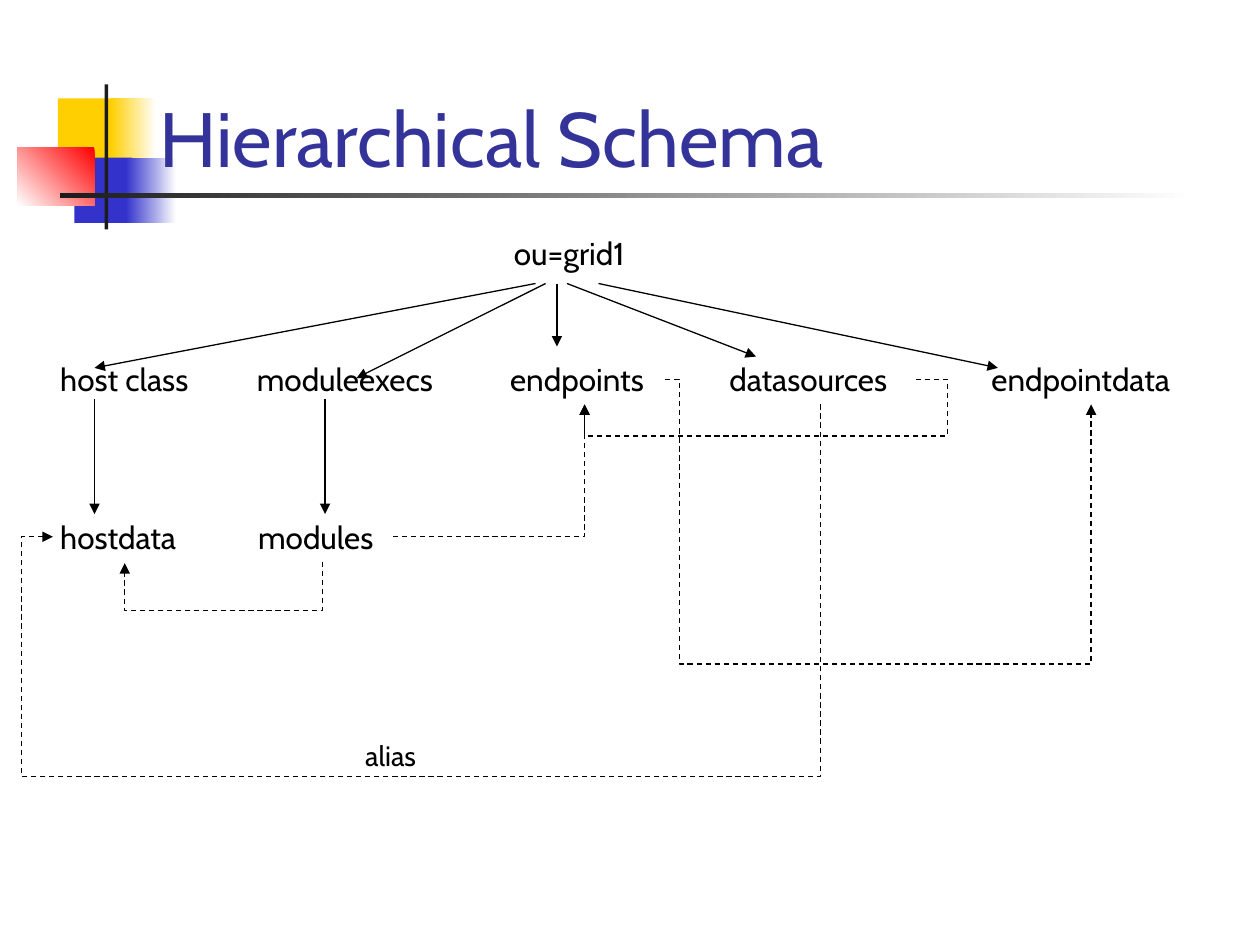
from lxml import etree
from pptx import Presentation
from pptx.dml.color import RGBColor
from pptx.enum.dml import MSO_LINE
from pptx.enum.shapes import MSO_CONNECTOR, MSO_SHAPE
from pptx.enum.text import MSO_ANCHOR, MSO_AUTO_SIZE
from pptx.oxml.ns import qn
from pptx.util import Inches, Pt

BLACK, CHARCOAL, WHITE = "000000", "1C1C1C", "FFFFFF"
YELLOW, BLUE, RED, NAVY = "FFCF01", "3333CC", "FF0000", "333399"


def color(hex_code):
    return RGBColor.from_string(hex_code)


class SlideBuilder:
    font_name = "Cabin"
    line_width = Pt(0.75)

    def __init__(self, slide):
        self.slide = slide

    def block(self, left, top, width, height, start, end=None, angle=180):
        """Add a rectangle; a second colour makes a gradient at a counter-clockwise angle."""
        shape = self.slide.shapes.add_shape(
            MSO_SHAPE.RECTANGLE, Inches(left), Inches(top), Inches(width), Inches(height))
        shape.shadow.inherit = False
        shape.line.fill.background()
        if end is None:
            shape.fill.solid()
            shape.fill.fore_color.rgb = color(start)
            return
        shape.fill.gradient()
        shape.fill.gradient_angle = angle
        for stop, hex_code in zip(shape.fill.gradient_stops, (start, end)):
            stop.color.rgb = color(hex_code)

    def text(self, text, left, top, width, height=0.4, size=18, hex_code=BLACK,
             anchor=MSO_ANCHOR.TOP, wrap=False):
        box = self.slide.shapes.add_textbox(
            Inches(left), Inches(top), Inches(width), Inches(height))
        frame = box.text_frame
        frame.word_wrap = wrap
        frame.auto_size = MSO_AUTO_SIZE.NONE if wrap else MSO_AUTO_SIZE.SHAPE_TO_FIT_TEXT
        frame.vertical_anchor = anchor
        paragraph = frame.paragraphs[0]
        paragraph.text = text
        paragraph.font.name = self.font_name
        paragraph.font.size = Pt(size)
        paragraph.font.color.rgb = color(hex_code)

    def arrow(self, start, end, kind=MSO_CONNECTOR.STRAIGHT):
        connector = self.slide.shapes.add_connector(
            kind, *(Inches(value) for value in (*start, *end)))
        connector.line.color.rgb = color(BLACK)
        connector.line.width = self.line_width
        line = connector.line._get_or_add_ln()
        etree.SubElement(line, qn("a:tailEnd"), type="triangle")
        etree.SubElement(connector._element.spPr, qn("a:effectLst"))
        return connector

    def elbow(self, *points):
        """Add a dashed bent arrow that runs through the given points."""
        (x0, y0), (x1, y1) = points[0], points[-1]
        starts_down = points[1][0] == x0
        if starts_down:
            # A quarter turn about the centre makes the first segment vertical.
            center_x, center_y = (x0 + x1) / 2, (y0 + y1) / 2
            half_x, half_y = (y1 - y0) / 2, (x0 - x1) / 2
            start = (center_x - half_x, center_y - half_y)
            end = (center_x + half_x, center_y + half_y)
        else:
            start, end = points[0], points[-1]
        connector = self.arrow(start, end, MSO_CONNECTOR.ELBOW)
        connector.line.dash_style = MSO_LINE.DASH
        properties = connector._element.spPr
        if starts_down:
            properties.find(qn("a:xfrm")).set("rot", str(90 * 60000))

        across = (points[1][0] - x0) / (x1 - x0)
        down = (points[1][1] - y0) / (y1 - y0)
        adjustments = [down if starts_down else across]
        if len(points) == 5:
            across = (points[2][0] - x0) / (x1 - x0)
            down = (points[2][1] - y0) / (y1 - y0)
            adjustments.append(across if starts_down else down)
        geometry = properties.find(qn("a:prstGeom"))
        geometry.set("prst", f"bentConnector{len(points) - 1}")
        if len(points) > 3:
            guides = geometry.find(qn("a:avLst"))
            for number, value in enumerate(adjustments, 1):
                etree.SubElement(guides, qn("a:gd"), name=f"adj{number}",
                                 fmla=f"val {round(value * 100000)}")


def main():
    presentation = Presentation()
    presentation.slide_width, presentation.slide_height = Inches(10), Inches(7.5)
    builder = SlideBuilder(presentation.slides.add_slide(presentation.slide_layouts[6]))

    builder.block(0.46, 0.78, 0.48, 0.52, YELLOW)
    builder.block(0.88, 0.78, 0.36, 0.52, WHITE, YELLOW)
    builder.block(0.59, 1.25, 0.46, 0.52, BLUE)
    builder.block(1, 1.25, 0.4, 0.52, WHITE, BLUE)
    builder.block(0.14, 1.17, 0.61, 0.46, RED, WHITE, angle=225)
    builder.block(0.83, 0.67, 0.03, 1.15, CHARCOAL)
    builder.block(0.48, 1.53, 9, 0.04, WHITE, CHARCOAL)
    builder.text("Hierarchical Schema", 1.17, 0.5, 8.52, 1, size=44, hex_code=NAVY,
                 anchor=MSO_ANCHOR.BOTTOM, wrap=True)

    levels = {
        1.81: [("ou=grid1", 3.98, 1.26)],
        2.81: [("host class", 0.38, 1.34), ("moduleexecs", 1.94, 1.75),
               ("endpoints", 3.95, 1.38), ("datasources", 5.69, 1.63),
               ("endpointdata", 7.77, 1.79)],
        4.06: [("hostdata", 0.38, 1.24), ("modules", 1.95, 1.22)],
    }
    for top, entries in levels.items():
        for name, left, width in entries:
            builder.text(name, left, top, width)

    root_arrows = [(4.25, (0.75, 2.92)), (4.33, (2.83, 3)), (4.42, (4.42, 2.75)),
                   (4.5, (6, 2.83)), (4.75, (7.92, 2.92))]
    for start_x, end in root_arrows:
        builder.arrow((start_x, 2.25), end)
    for x in (2.58, 0.75):
        builder.arrow((x, 3.17), (x, 4.08))

    # The 0.01 rise keeps the first bend expressible as a share of the height.
    builder.elbow((2.56, 4.46), (2.56, 4.85), (0.99, 4.85), (0.99, 4.47))
    builder.elbow((3.12, 4.26), (4.64, 4.26), (4.64, 3.21))
    builder.elbow((5.28, 3.01), (5.39, 3.01), (5.39, 5.27), (8.66, 5.27), (8.66, 3.21))
    builder.elbow((6.51, 3.21), (6.51, 6.16), (0.17, 6.16), (0.17, 4.26), (0.42, 4.26))
    builder.elbow((7.27, 3.01), (7.52, 3.01), (7.52, 3.46), (4.64, 3.46), (4.64, 3.21))
    builder.text("alias", 2.8, 5.81, 0.67, 0.37, size=16)

    presentation.save("out.pptx")


if __name__ == "__main__":
    main()
